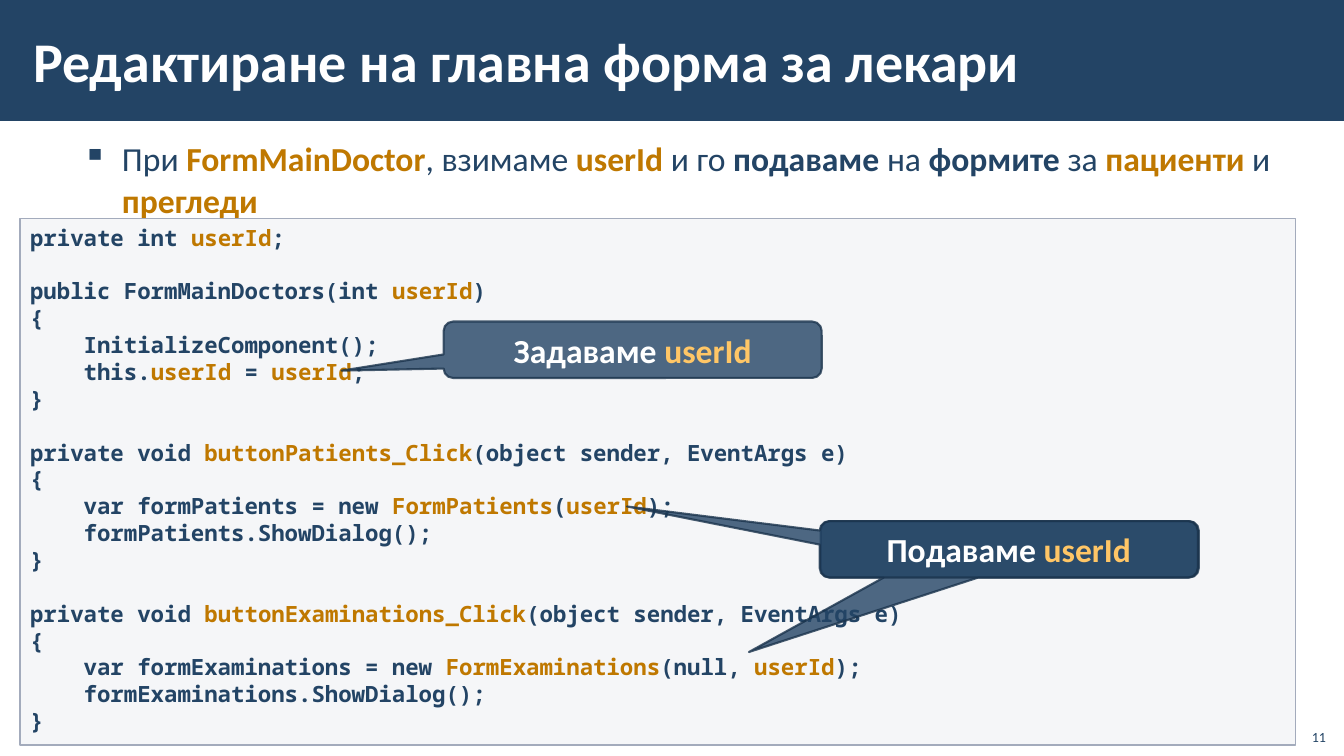
from lxml.etree import SubElement
from pptx import Presentation
from pptx.dml.color import RGBColor
from pptx.enum.shapes import MSO_SHAPE
from pptx.enum.text import MSO_ANCHOR, PP_ALIGN
from pptx.oxml.ns import qn
from pptx.util import Inches, Pt

NAVY = RGBColor(0x23, 0x44, 0x65)
DARK_NAVY = RGBColor(0x1A, 0x33, 0x4C)
ORANGE = RGBColor(0xBF, 0x78, 0x00)
AMBER = RGBColor(0xFF, 0xC6, 0x66)
WHITE = RGBColor(0xFF, 0xFF, 0xFF)
PALE_GREY = RGBColor(0xC2, 0xC7, 0xD2)
GREY_BLUE = RGBColor(0xA3, 0xAB, 0xBC)

TITLE = "Редактиране на главна форма за лекари"
PAGE_NUMBER = "11"
SUMMARY = [
    ("При ", NAVY, False), ("FormMainDoctor", ORANGE, True),
    (", взимаме ", NAVY, False), ("userId ", ORANGE, True),
    ("и го ", NAVY, False), ("подаваме", NAVY, True),
    (" на ", NAVY, False), ("формите", NAVY, True),
    (" за ", NAVY, False), ("пациенти", ORANGE, True),
    (" и ", NAVY, False), ("прегледи", ORANGE, True),
]
# Text between bars is highlighted.
CODE_BLOCKS = [
    ["private int |userId|;"],
    ["public FormMainDoctors(int |userId|)",
     "{",
     "    InitializeComponent();",
     "    this.|userId| = |userId|;",
     "}"],
    ["private void |buttonPatients_Click|(object sender, EventArgs e)",
     "{",
     "    var formPatients = new |FormPatients|(|userId|);",
     "    formPatients.ShowDialog();",
     "}"],
    ["private void |buttonExaminations_Click|(object sender, EventArgs e)",
     "{",
     "    var formExaminations = new |FormExaminations|(null, |userId|);",
     "    formExaminations.ShowDialog();",
     "}"],
]
CALLOUTS = [
    (8.14, 5.17, (-0.69, 1.82), ""),
    (8.13, 5.17, (-1.01, -0.76), "Подаваме |userId|"),
    (4.4, 3.19, (-0.77, 0.37), "Задаваме |userId|"),
]
CODE_LINE_HEIGHT = Pt(19.2)


def add_run(paragraph, text, size, color, bold=True, font="Calibri"):
    """Append one formatted run to the paragraph."""
    run = paragraph.add_run()
    run.text = text
    run.font.name = font
    run.font.size = Pt(size)
    run.font.bold = bold
    run.font.color.rgb = color


def add_marked(paragraph, marked, size, base, highlight, font="Calibri"):
    """Append runs, switching to the highlight colour at each bar."""
    for index, text in enumerate(marked.split("|")):
        if text:
            add_run(paragraph, text, size, highlight if index % 2 else base, font=font)


def set_alpha(fill_parent, percent):
    """Make the solid colour under an element partly transparent."""
    color = fill_parent.find(qn("a:solidFill")).find(qn("a:srgbClr"))
    SubElement(color, qn("a:alpha")).set("val", str(percent * 1000))


def set_frame(frame, anchor, side=0.1, edge=0.05):
    """Set wrapping, anchor and insets of a text frame."""
    frame.word_wrap = True
    frame.vertical_anchor = anchor
    frame.margin_left = frame.margin_right = Inches(side)
    frame.margin_top = frame.margin_bottom = Inches(edge)
    return frame


def add_panel(slide, kind, box, fill, alpha, line, width):
    """Add a filled and outlined shape without shadow."""
    panel = slide.shapes.add_shape(kind, *map(Inches, box))
    panel.shadow.inherit = False
    panel.fill.solid()
    panel.fill.fore_color.rgb = fill
    set_alpha(panel._element.spPr, alpha)
    panel.line.color.rgb = line
    panel.line.width = Pt(width)
    return panel


def add_header(slide):
    """Place the title on its full-width bar."""
    bar = slide.shapes.add_shape(MSO_SHAPE.RECTANGLE, 0, 0, Inches(13.33), Inches(1.2))
    bar.shadow.inherit = False
    bar.fill.solid()
    bar.fill.fore_color.rgb = NAVY
    bar.line.fill.background()
    title = slide.shapes.title
    title._element.addprevious(bar._element)
    title.left, title.top, title.width, title.height = map(Inches, (0.21, 0.11, 11.23, 0.97))
    paragraph = set_frame(title.text_frame, MSO_ANCHOR.MIDDLE, 0.12, 0.04).paragraphs[0]
    paragraph.alignment = PP_ALIGN.LEFT
    add_run(paragraph, TITLE, 40, WHITE)


def add_page_number(slide):
    """Add the page number at the lower right."""
    number = slide.shapes.add_textbox(*map(Inches, (12.85, 7.12, 0.4, 0.32)))
    paragraph = set_frame(number.text_frame, MSO_ANCHOR.BOTTOM).paragraphs[0]
    paragraph.alignment = PP_ALIGN.RIGHT
    add_run(paragraph, PAGE_NUMBER, 10, NAVY, False)


def add_summary(slide):
    """Add the bulleted sentence above the code."""
    summary = slide.shapes.add_textbox(*map(Inches, (0.21, 1.31, 12.92, 6.05)))
    paragraph = set_frame(summary.text_frame, MSO_ANCHOR.TOP, 0.12, 0.04).paragraphs[0]
    paragraph.line_spacing = 1.05
    paragraph.space_after = Pt(6)
    properties = paragraph._p.get_or_add_pPr()
    properties.set("marL", str(Inches(0.88)))
    properties.set("indent", str(Inches(-0.39)))
    bullet_color = SubElement(properties, qn("a:buClr"))
    SubElement(bullet_color, qn("a:srgbClr")).set("val", str(NAVY))
    SubElement(properties, qn("a:buChar")).set("char", "▪")
    for text, color, bold in SUMMARY:
        add_run(paragraph, text, 24, color, bold)


def add_code(slide):
    """Add the code panel with one line of space between blocks."""
    panel = add_panel(slide, MSO_SHAPE.RECTANGLE, (0.2, 2.17, 12.65, 5.22),
                      PALE_GREY, 15, GREY_BLUE, 1)
    frame = set_frame(panel.text_frame, MSO_ANCHOR.TOP)
    for block_index, block in enumerate(CODE_BLOCKS):
        for line_index, line in enumerate(block):
            first = block_index == line_index == 0
            paragraph = frame.paragraphs[0] if first else frame.add_paragraph()
            paragraph.alignment = PP_ALIGN.LEFT
            if block_index and line_index == 0:
                paragraph.space_before = CODE_LINE_HEIGHT
            add_marked(paragraph, line, 16, NAVY, ORANGE, "Noto Sans Mono")


def add_callouts(slide):
    """Add the callouts that point into the code."""
    for left, top, tip, label in CALLOUTS:
        callout = add_panel(slide, MSO_SHAPE.ROUNDED_RECTANGULAR_CALLOUT,
                            (left, top, 3.75, 0.56), NAVY, 80, DARK_NAVY, 1.5)
        set_alpha(callout.line._get_or_add_ln(), 80)
        callout.adjustments[0], callout.adjustments[1] = tip
        paragraph = set_frame(callout.text_frame, MSO_ANCHOR.MIDDLE).paragraphs[0]
        paragraph.alignment = PP_ALIGN.CENTER
        add_marked(paragraph, label, 24, WHITE, AMBER)


def main():
    """Build the slide and save it."""
    deck = Presentation()
    deck.slide_width, deck.slide_height = Inches(13.33), Inches(7.5)
    slide = deck.slides.add_slide(deck.slide_layouts[5])
    add_header(slide)
    add_page_number(slide)
    add_summary(slide)
    add_code(slide)
    add_callouts(slide)
    deck.save("out.pptx")


if __name__ == "__main__":
    main()
